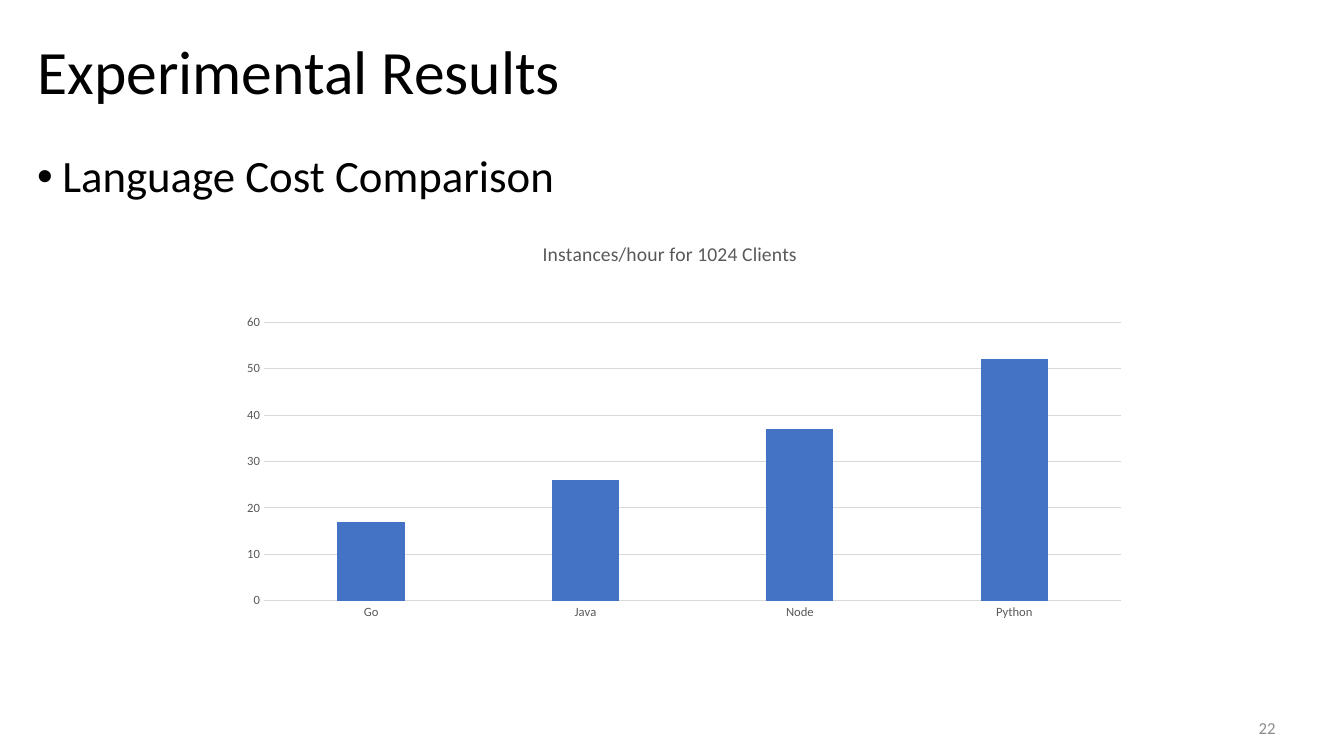
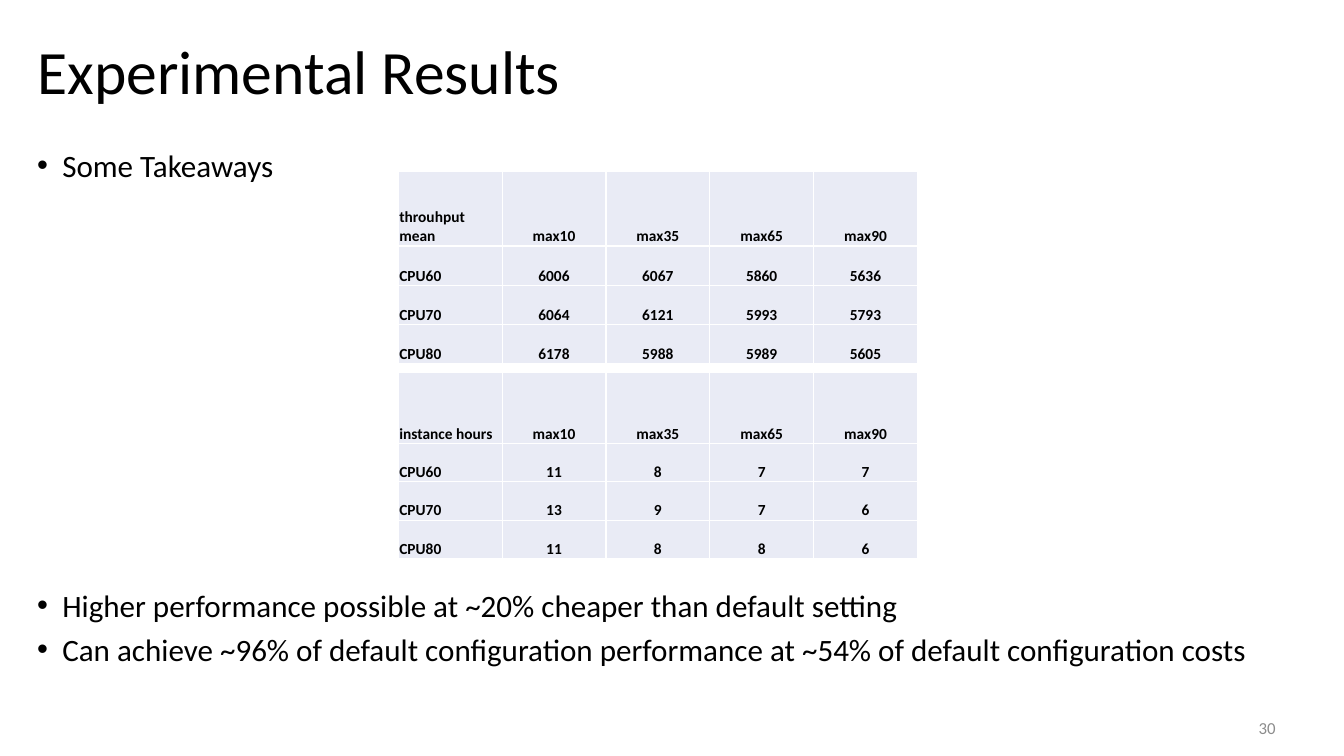
from dataclasses import dataclass

from lxml.etree import SubElement
from pptx import Presentation
from pptx.chart.data import CategoryChartData
from pptx.dml.color import RGBColor
from pptx.enum.chart import XL_CHART_TYPE as ChartType, XL_TICK_MARK as TickMark
from pptx.enum.text import MSO_ANCHOR as Anchor, PP_ALIGN as Align
from pptx.oxml import parse_xml
from pptx.oxml.ns import nsdecls, qn
from pptx.util import Inches, Pt


@dataclass(frozen=True)
class Theme:
    font: str = "Calibri"
    bullet_font: str = "Arial"
    text: str = "000000"
    muted: str = "8C8C8C"
    chart_text: str = "595959"
    grid: str = "D9D9D9"
    bar: str = "4472C4"
    cell: str = "E9EBF5"
    border: str = "FFFFFF"
    title_size: float = 44
    lead_size: float = 32
    takeaway_size: float = 22.2
    number_size: float = 12
    table_size: float = 11
    chart_title_size: float = 14
    axis_size: float = 9


THEME = Theme()

TITLE = "Experimental Results"
LEFT, WIDTH = 0.27, 12.76
TITLE_BOX = (LEFT, 0.23, WIDTH, 1.01)
NUMBER_BOX = (9.42, 7.02, 3.33, 0.4)

COST_SLIDE = {
    "number": "22",
    "size": THEME.lead_size,
    "line_spacing": 0.9,
    "bullets": [((LEFT, 1.48, WIDTH, 0.7), ["Language Cost Comparison"])],
    "charts": [{
        "box": (1.93, 2.21, 9.43, 4.37),
        "title": "Instances/hour for 1024 Clients",
        "series": "Series 1",
        "values": {"Go": 17, "Java": 26, "Node": 37, "Python": 52},
        "plot": {"x": 0.073, "y": 0.226, "w": 0.902, "h": 0.632},
    }],
    "tables": [],
}

TAKEAWAY_SLIDE = {
    "number": "30",
    "size": THEME.takeaway_size,
    "line_spacing": 0.8,
    "bullets": [
        ((LEFT, 1.48, WIDTH, 0.5), ["Some Takeaways"]),
        ((LEFT, 5.84, WIDTH, 0.97), [
            "Higher performance possible at ~20% cheaper than default setting",
            "Can achieve ~96% of default configuration performance at ~54% of default configuration costs",
        ]),
    ],
    "charts": [],
    "tables": [
        {
            "top": 1.7, "header_height": 0.74, "row_height": 0.39,
            "rows": [
                ("throuhput mean", "max10", "max35", "max65", "max90"),
                ("CPU60", "6006", "6067", "5860", "5636"),
                ("CPU70", "6064", "6121", "5993", "5793"),
                ("CPU80", "6178", "5988", "5989", "5605"),
            ],
        },
        {
            "top": 3.69, "header_height": 0.71, "row_height": 0.38,
            "rows": [
                ("instance hours", "max10", "max35", "max65", "max90"),
                ("CPU60", "11", "8", "7", "7"),
                ("CPU70", "13", "9", "7", "6"),
                ("CPU80", "11", "8", "8", "6"),
            ],
        },
    ],
}

TABLE_LEFT, COLUMN_WIDTH = 3.95, 1.03


def color(value):
    return RGBColor.from_string(value)


def inches(box):
    return [Inches(length) for length in box]


def style_font(font, size, value, bold=False):
    font.name = THEME.font
    font.size = Pt(size)
    font.bold = bold
    font.color.rgb = color(value)


def add_run(paragraph, text, size, value=THEME.text, bold=False):
    run = paragraph.add_run()
    run.text = text
    style_font(run.font, size, value, bold)


def add_title(slide):
    title = slide.shapes.title
    title.left, title.top, title.width, title.height = inches(TITLE_BOX)
    title.text_frame.vertical_anchor = Anchor.MIDDLE
    paragraph = title.text_frame.paragraphs[0]
    paragraph.alignment = Align.LEFT
    paragraph.line_spacing = 0.9
    add_run(paragraph, TITLE, THEME.title_size)


def add_number(slide, number):
    frame = slide.shapes.add_textbox(*inches(NUMBER_BOX)).text_frame
    frame.word_wrap = True
    frame.vertical_anchor = Anchor.MIDDLE
    paragraph = frame.paragraphs[0]
    paragraph.alignment = Align.RIGHT
    add_run(paragraph, number, THEME.number_size, THEME.muted)


def add_bullets(slide, box, lines, size, line_spacing):
    frame = slide.shapes.add_textbox(*inches(box)).text_frame
    frame.word_wrap = True
    for index, line in enumerate(lines):
        paragraph = frame.add_paragraph() if index else frame.paragraphs[0]
        paragraph.line_spacing = line_spacing
        paragraph.space_before = Pt(10)
        add_run(paragraph, line, size)
        properties = paragraph._p.get_or_add_pPr()
        properties.set("marL", str(Inches(0.25)))
        properties.set("indent", str(-Inches(0.25)))
        SubElement(properties, qn("a:buFont"), typeface=THEME.bullet_font)
        SubElement(properties, qn("a:buChar"), char="•")


def place_plot(chart, plot):
    area = chart.element.find(".//" + qn("c:plotArea"))
    for layout in area.findall(qn("c:layout")):
        area.remove(layout)
    sides = "".join(f'<c:{side} val="{value}"/>' for side, value in plot.items())
    area.insert(0, parse_xml(
        f'<c:layout {nsdecls("c")}><c:manualLayout><c:layoutTarget val="inner"/>'
        f'<c:xMode val="edge"/><c:yMode val="edge"/>{sides}</c:manualLayout></c:layout>'))


def style_line(line):
    line.color.rgb = color(THEME.grid)
    line.width = Pt(0.75)


def add_bar_chart(slide, content):
    data = CategoryChartData()
    data.categories = list(content["values"])
    data.add_series(content["series"], list(content["values"].values()))
    chart = slide.shapes.add_chart(
        ChartType.COLUMN_CLUSTERED, *inches(content["box"]), data).chart
    style_font(chart.font, 10, THEME.text)
    chart.has_legend = False
    chart.has_title = True
    add_run(chart.chart_title.text_frame.paragraphs[0], content["title"],
            THEME.chart_title_size, THEME.chart_text)

    plot = chart.plots[0]
    plot.vary_by_categories = False
    plot.gap_width, plot.overlap = 219, -27
    fill = plot.series[0].format.fill
    fill.solid()
    fill.fore_color.rgb = color(THEME.bar)

    for axis in (chart.category_axis, chart.value_axis):
        axis.major_tick_mark = axis.minor_tick_mark = TickMark.NONE
        style_font(axis.tick_labels.font, THEME.axis_size, THEME.chart_text)
    style_line(chart.category_axis.format.line)
    value_axis = chart.value_axis
    value_axis.minimum_scale, value_axis.maximum_scale = 0, 60
    value_axis.major_unit = 10
    value_axis.format.line.fill.background()
    value_axis.has_major_gridlines = True
    style_line(value_axis.major_gridlines.format.line)
    place_plot(chart, content["plot"])


def style_cell(cell):
    cell.vertical_anchor = Anchor.BOTTOM
    cell.margin_left = cell.margin_top = cell.margin_right = Inches(0.01)
    cell.margin_bottom = 0
    cell.fill.solid()
    cell.fill.fore_color.rgb = color(THEME.cell)
    properties = cell._tc.get_or_add_tcPr()
    for index, side in enumerate("LRTB"):
        properties.insert(index, parse_xml(
            f'<a:ln{side} {nsdecls("a")} w="{Pt(1)}"><a:solidFill>'
            f'<a:srgbClr val="{THEME.border}"/></a:solidFill></a:ln{side}>'))


def add_results_table(slide, content):
    rows = content["rows"]
    heights = [content["header_height"]] + [content["row_height"]] * (len(rows) - 1)
    columns = len(rows[0])
    box = (TABLE_LEFT, content["top"], COLUMN_WIDTH * columns, sum(heights))
    table = slide.shapes.add_table(len(rows), columns, *inches(box)).table
    table.first_row = table.horz_banding = False
    for column in table.columns:
        column.width = Inches(COLUMN_WIDTH)
    for row_index, (texts, height) in enumerate(zip(rows, heights)):
        table.rows[row_index].height = Inches(height)
        for column_index, text in enumerate(texts):
            cell = table.cell(row_index, column_index)
            style_cell(cell)
            paragraph = cell.text_frame.paragraphs[0]
            paragraph.alignment = Align.CENTER if column_index else Align.LEFT
            add_run(paragraph, text, THEME.table_size, bold=True)


def add_results_slide(presentation, content):
    slide = presentation.slides.add_slide(presentation.slide_layouts[5])
    add_number(slide, content["number"])
    add_title(slide)
    for box, lines in content["bullets"]:
        add_bullets(slide, box, lines, content["size"], content["line_spacing"])
    for chart in content["charts"]:
        add_bar_chart(slide, chart)
    for table in content["tables"]:
        add_results_table(slide, table)


def main():
    presentation = Presentation()
    presentation.slide_width = Inches(13.33)
    presentation.slide_height = Inches(7.5)
    for content in (COST_SLIDE, TAKEAWAY_SLIDE):
        add_results_slide(presentation, content)
    presentation.save("out.pptx")


if __name__ == "__main__":
    main()
